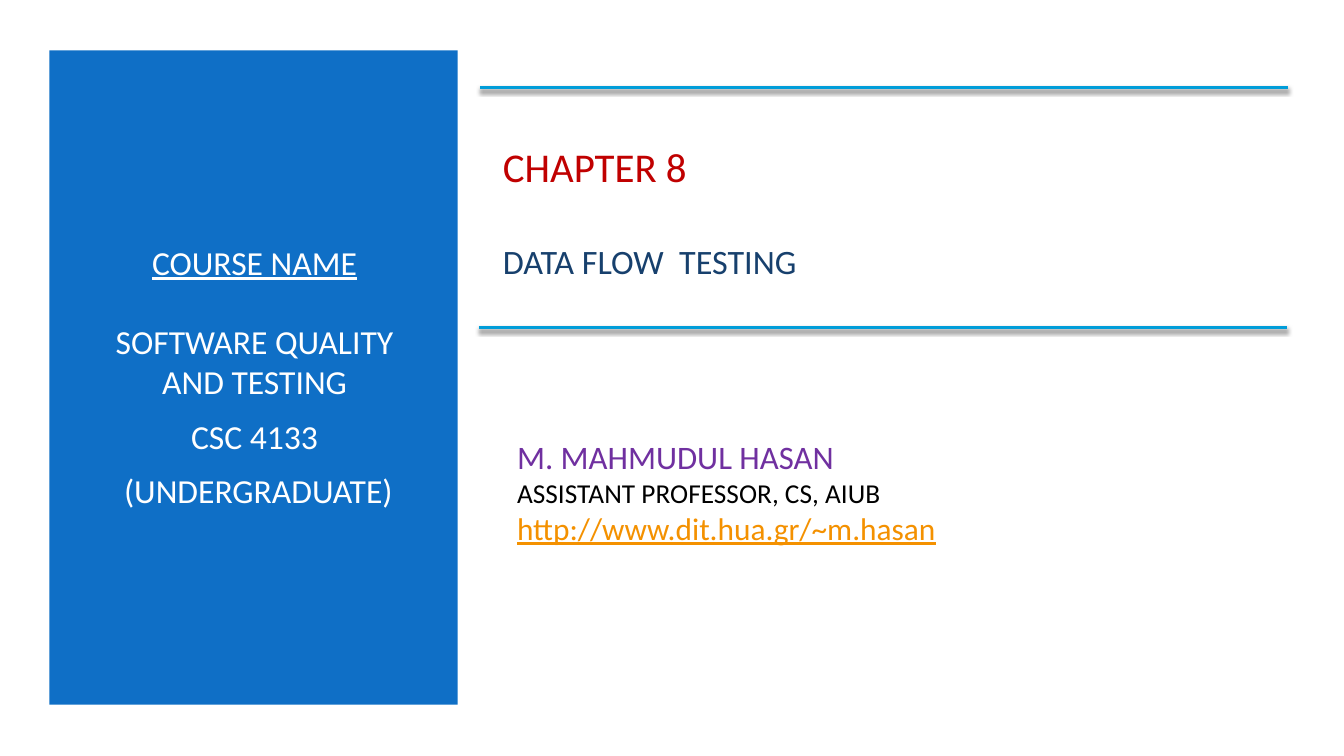
from dataclasses import dataclass

from lxml import etree
from pptx import Presentation
from pptx.dml.color import RGBColor
from pptx.enum.shapes import MSO_CONNECTOR, MSO_SHAPE
from pptx.enum.text import MSO_ANCHOR, PP_ALIGN
from pptx.oxml.ns import qn
from pptx.util import Inches, Pt

RECTANGLE = MSO_SHAPE.RECTANGLE
STRAIGHT = MSO_CONNECTOR.STRAIGHT
MIDDLE = MSO_ANCHOR.MIDDLE
LEFT, CENTER = PP_ALIGN.LEFT, PP_ALIGN.CENTER


@dataclass(frozen=True)
class Theme:
    """Colours, font and type sizes of the slide."""
    font: str = "Calibri"
    panel: str = "0F6FC6"
    panel_text: str = "FFFFFF"
    rule: str = "009DD9"
    shadow: str = "000000"
    chapter: str = "C00000"
    topic: str = "17406D"
    author: str = "7030A0"
    role: str = "000000"
    address: str = "F49100"
    course_size: float = 24
    chapter_size: float = 29.2
    topic_size: float = 24.4
    author_size: float = 23.4
    role_size: float = 19.5
    address_size: float = 22.4


THEME = Theme()


def add_text(page, box, lines, align=LEFT):
    """Place a middle-anchored text box; return its paragraphs."""
    frame = page.shapes.add_textbox(*map(Inches, box)).text_frame
    frame.word_wrap = True
    frame.vertical_anchor = MIDDLE
    for index, (text, size, color, underline) in enumerate(lines):
        para = frame.paragraphs[0] if index == 0 else frame.add_paragraph()
        para.text = text
        para.alignment = align
        para.font.name = THEME.font
        para.font.size = Pt(size)
        para.font.color.rgb = RGBColor.from_string(color)
        para.font.underline = underline
    return frame.paragraphs


def add_rule(page, left, top, width):
    """Draw a horizontal rule with a soft shadow below it."""
    rule = page.shapes.add_connector(
        STRAIGHT, Inches(left), Inches(top), Inches(left + width), Inches(top))
    rule.line.color.rgb = RGBColor.from_string(THEME.rule)
    rule.line.width = Pt(2)
    effects = etree.SubElement(rule._element.spPr, qn("a:effectLst"))
    shadow = etree.SubElement(
        effects, qn("a:outerShdw"), blurRad=str(Pt(3)), dist=str(Pt(2)),
        dir="5400000", rotWithShape="0")
    color = etree.SubElement(shadow, qn("a:srgbClr"), val=THEME.shadow)
    etree.SubElement(color, qn("a:alpha"), val="55000")


def add_course_panel(page, box):
    """Fill the side panel and centre the course details in it."""
    left, top, width, height = box
    panel = page.shapes.add_shape(RECTANGLE, *map(Inches, box))
    panel.shadow.inherit = False
    panel.fill.solid()
    panel.fill.fore_color.rgb = RGBColor.from_string(THEME.panel)
    panel.line.fill.background()
    texts = ["COURSE NAME", "SOFTWARE QUALITY AND TESTING", "CSC 4133", " (UNDERGRADUATE)"]
    lines = [(text, THEME.course_size, THEME.panel_text, index == 0)
             for index, text in enumerate(texts)]
    paras = add_text(page, (left + 0.35, top + 0.62, width - 0.68, height - 1.24),
                     lines, CENTER)
    for para, gap in zip(paras, (28.8, 10.8, 10.8, 0)):
        para.line_spacing = 0.98
        para.space_after = Pt(gap)


def add_chapter_title(page, box):
    """Set the chapter and topic between two rules."""
    left, top, width, height = box
    paras = add_text(page, (left + 0.14, top + 0.23, width - 0.16, 2), [
        ("CHAPTER 8", THEME.chapter_size, THEME.chapter, False),
        ("DATA FLOW  TESTING", THEME.topic_size, THEME.topic, False),
    ])
    paras[0].space_after = Pt(35)
    add_rule(page, left + 0.01, top, width)
    add_rule(page, left, top + height, width)


def add_author(page, box):
    """Set the author's name, role and web address."""
    add_text(page, box, [
        ("M. MAHMUDUL HASAN", THEME.author_size, THEME.author, False),
        ("ASSISTANT PROFESSOR, CS, AIUB", THEME.role_size, THEME.role, False),
        ("http://www.dit.hua.gr/~m.hasan", THEME.address_size, THEME.address, True),
    ])


def main():
    """Build the chapter opening slide and save it."""
    deck = Presentation()
    deck.slide_width, deck.slide_height = Inches(13.33), Inches(7.5)
    page = deck.slides.add_slide(deck.slide_layouts[6])
    add_course_panel(page, (0.49, 0.5, 4.05, 6.49))
    add_chapter_title(page, (4.75, 0.87, 8.01, 2.38))
    add_author(page, (5.03, 4.1, 6.66, 1.56))
    deck.save("out.pptx")


if __name__ == "__main__":
    main()
